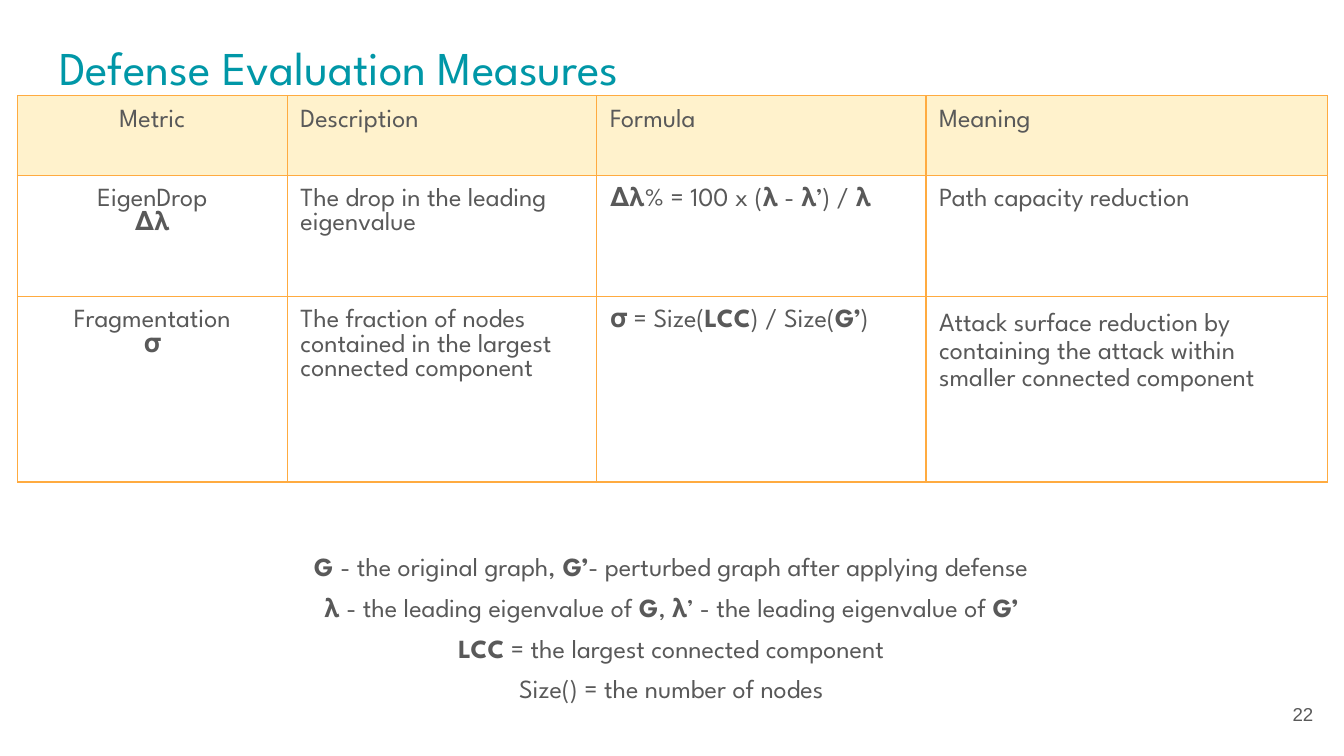
"""Build the slide that defines the defense evaluation measures."""
import lxml.etree
import pptx
import pptx.dml.color
import pptx.enum.text
import pptx.oxml.ns
import pptx.util

Cm, Pt = pptx.util.Cm, pptx.util.Pt
ALIGN, ANCHOR = pptx.enum.text.PP_ALIGN, pptx.enum.text.MSO_ANCHOR
qn = pptx.oxml.ns.qn

COLORS = {"title": "0097A7", "text": "595959", "header": "FFF2CC", "border": "FFAB40"}
FONT = "League Spartan"
INSET = Cm(0.25)

TITLE = "Defense Evaluation Measures"
# Asterisks switch bold on and off
ROWS = [
    [["Metric"], ["Description"], ["Formula"], ["Meaning"]],
    [["EigenDrop", "𝚫𝛌"], ["The drop in the leading eigenvalue"],
     ["𝚫𝛌% = 100 x (𝛌 - 𝛌’) / 𝛌"], ["Path capacity reduction"]],
    [["Fragmentation", "𝛔"],
     ["The fraction of nodes contained in the largest connected component"],
     ["𝛔 = Size(*LCC*) / Size(*G’*)"],
     ["Attack surface reduction by containing the attack within smaller connected component"]],
]
LEGEND = [
    "*G *- the original graph,* G’*- perturbed graph after applying defense",
    "𝛌 - the leading eigenvalue of *G*, 𝛌’ - the leading eigenvalue of *G’*",
    "*LCC* = the largest connected component",
    "Size() = the number of nodes",
]
NUMBER = "22"
COL_WIDTHS = [5.1, 5.85, 6.22, 7.59]
ROW_HEIGHTS = [1.5, 2.29, 3.51]


def rgb(name):
    return pptx.dml.color.RGBColor.from_string(COLORS[name])


def write(tf, lines, size=14, color="text", font=FONT, align=ALIGN.LEFT, spacing=1.0):
    for i, line in enumerate(lines):
        p = tf.paragraphs[0] if i == 0 else tf.add_paragraph()
        p.alignment, p.line_spacing = align, spacing
        p.space_before = p.space_after = Pt(0)
        for j, part in enumerate(line.split("*")):
            if part:
                r = p.add_run()
                r.text = part
                r.font.name, r.font.size, r.font.bold = font, Pt(size), j % 2 == 1
                r.font.color.rgb = rgb(color)


def frame(sp, anchor):
    tf = sp.text_frame
    tf.word_wrap = True
    tf.auto_size = pptx.enum.text.MSO_AUTO_SIZE.NONE
    tf.vertical_anchor = anchor
    tf.margin_left = tf.margin_right = tf.margin_top = tf.margin_bottom = INSET
    return tf


def add_borders(cell):
    tc_pr = cell._tc.get_or_add_tcPr()
    for i, side in enumerate(("lnL", "lnR", "lnT", "lnB")):
        ln = lxml.etree.Element(qn("a:" + side), w=str(Pt(0.75)))
        fill = lxml.etree.SubElement(ln, qn("a:solidFill"))
        lxml.etree.SubElement(fill, qn("a:srgbClr"), val=COLORS["border"])
        tc_pr.insert(i, ln)


def add_measures(s):
    table = s.shapes.add_table(len(ROWS), len(COL_WIDTHS), Cm(0.33), Cm(1.81),
                               Cm(sum(COL_WIDTHS)), Cm(sum(ROW_HEIGHTS))).table
    table.first_row = table.horz_banding = False
    for col, width in zip(table.columns, COL_WIDTHS):
        col.width = Cm(width)
    for i, (row, height) in enumerate(zip(ROWS, ROW_HEIGHTS)):
        table.rows[i].height = Cm(height)
        for j, lines in enumerate(row):
            cell = table.cell(i, j)
            cell.margin_left = cell.margin_right = INSET
            cell.margin_top = cell.margin_bottom = INSET
            if i == 0:
                cell.fill.solid()
                cell.fill.fore_color.rgb = rgb("header")
            else:
                cell.fill.background()
            add_borders(cell)
            write(cell.text_frame, lines,
                  align=ALIGN.CENTER if j == 0 else ALIGN.LEFT,
                  spacing=1.15 if (i, j) == (2, 3) else 1.0)


def main():
    prs = pptx.Presentation()
    prs.slide_width, prs.slide_height = Cm(25.4), Cm(14.29)
    s = prs.slides.add_slide(prs.slide_layouts[5])

    sp = s.shapes.title
    sp.left, sp.top, sp.width, sp.height = Cm(0.87), Cm(0.15), Cm(23.67), Cm(1.6)
    write(frame(sp, ANCHOR.TOP), [TITLE], size=25.2, color="title", spacing=1.3)

    add_measures(s)

    sp = s.shapes.add_textbox(Cm(2.16), Cm(9.98), Cm(21.06), Cm(2.9))
    write(frame(sp, ANCHOR.TOP), LEGEND, align=ALIGN.CENTER, spacing=1.3)

    sp = s.shapes.add_textbox(Cm(23.55), Cm(12.95), Cm(1.52), Cm(1.09))
    write(frame(sp, ANCHOR.MIDDLE), [NUMBER], size=10, font="Arial", align=ALIGN.RIGHT)

    prs.save("out.pptx")


if __name__ == "__main__":
    main()
